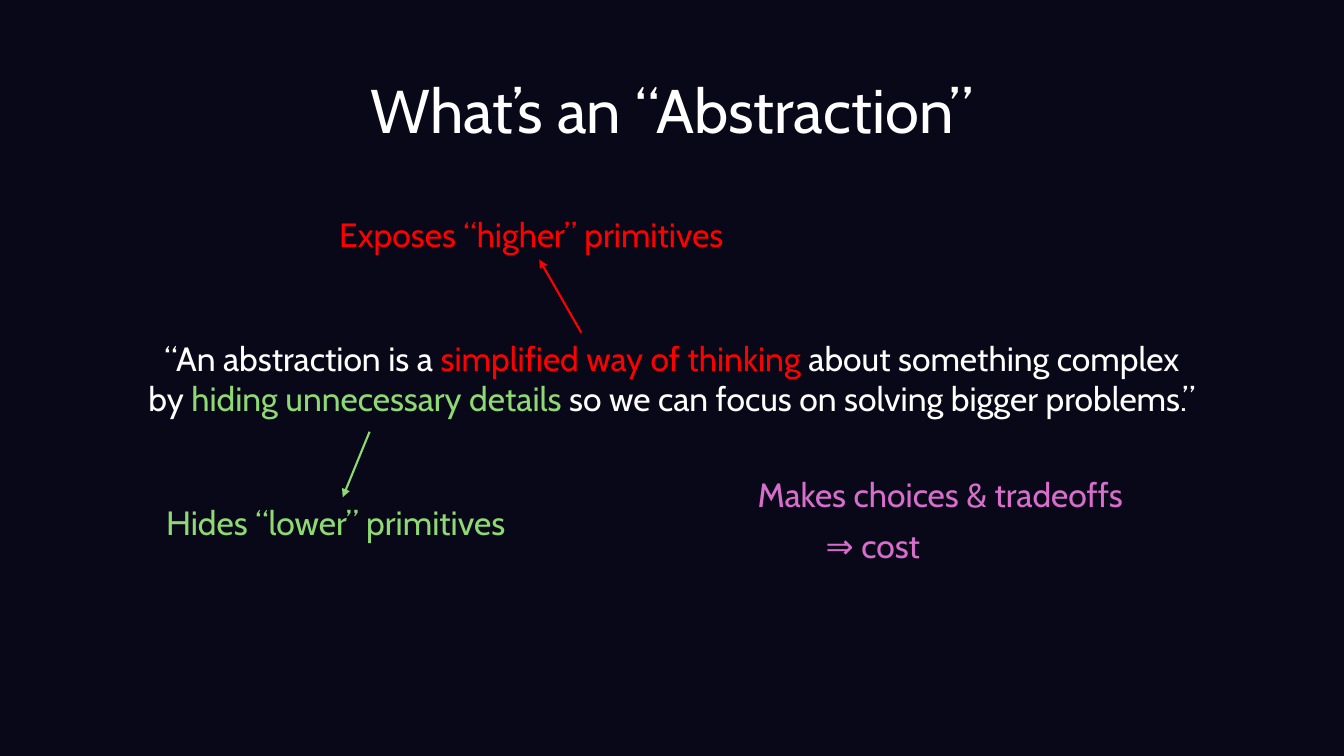
import dataclasses
import typing

import pptx
import pptx.dml.color
import pptx.enum.shapes
import pptx.enum.text
import pptx.oxml
import pptx.oxml.ns
import pptx.util

COLUMNS, ROWS = 160, 90
CELL = pptx.util.Inches(1) // 12
COLORS = {
    "night": "080818",
    "white": "FFFFFF",
    "red": "FF0000",
    "green": "8ED973",
    "pink": "D86ECC",
}
ALIGN = pptx.enum.text.PP_ALIGN
FIT = pptx.enum.text.MSO_AUTO_SIZE
ANCHOR = pptx.enum.text.MSO_ANCHOR
TITLE_FONT = {"name": "Cabin", "size": pptx.util.Pt(44)}
BODY_FONT = {"name": "Cabin", "size": pptx.util.Pt(24)}
TITLE_FRAME = {
    "word_wrap": True,
    "auto_size": FIT.NONE,
    "vertical_anchor": ANCHOR.MIDDLE,
}
BODY_FRAME = {"word_wrap": False, "auto_size": FIT.SHAPE_TO_FIT_TEXT}
TITLE_PARA = {"alignment": ALIGN.CENTER, "line_spacing": 0.9}
QUOTE_PARA = {"alignment": ALIGN.CENTER}
NOTE_PARA = {"alignment": ALIGN.LEFT}


class Piece(typing.NamedTuple):
    text: str
    color: str


class Area(typing.NamedTuple):
    column: float
    row: float
    width: float
    height: float


@dataclasses.dataclass(frozen=True)
class Arrow:
    column: float
    row: float
    site: int


@dataclasses.dataclass(frozen=True)
class Note:
    piece: Piece
    area: Area
    arrow: typing.Optional[Arrow] = None


TITLE = [[Piece("What’s an “Abstraction”", "white")]]
QUOTE = [
    [
        Piece("“An abstraction is a ", "white"),
        Piece("simplified way of thinking", "red"),
        Piece(" about something complex", "white"),
    ],
    [
        Piece("by ", "white"),
        Piece("hiding unnecessary details ", "green"),
        Piece("so we can focus on solving bigger problems.”", "white"),
    ],
]
NOTES = [
    Note(Piece("Makes choices & tradeoffs", "pink"), Area(89, 55.8, 48.1, 6)),
    Note(
        Piece("Exposes “higher” primitives", "red"),
        Area(39.2, 24.9, 50, 6),
        Arrow(69.2, 39.6, 2),
    ),
    Note(
        Piece("Hides “lower” primitives", "green"),
        Area(18.6, 59.2, 44.4, 6),
        Arrow(44, 51.4, 0),
    ),
    Note(Piece("⇒ cost", "pink"), Area(97.1, 61.9, 14.3, 6)),
]


def cells(count: float) -> int:
    return round(count * CELL)


def rgb(color: str) -> pptx.dml.color.RGBColor:
    return pptx.dml.color.RGBColor.from_string(COLORS[color])


def apply(target: typing.Any, values: dict) -> None:
    for name, value in values.items():
        setattr(target, name, value)


def write(
    box: typing.Any,
    lines: list,
    frame_values: dict,
    para_values: dict,
    font_values: dict,
) -> None:
    frame = box.text_frame
    apply(frame, frame_values)
    for index, line in enumerate(lines):
        para = frame.add_paragraph() if index else frame.paragraphs[0]
        apply(para, para_values)
        for piece in line:
            span = para.add_run()
            span.text = piece.text
            apply(span.font, font_values)
            span.font.color.rgb = rgb(piece.color)


def add_text(page: typing.Any, area: Area, lines: list, para_values: dict) -> typing.Any:
    box = page.shapes.add_textbox(*map(cells, area))
    write(box, lines, BODY_FRAME, para_values, BODY_FONT)
    return box


def add_arrow(page: typing.Any, arrow: Arrow, box: typing.Any, color: str) -> None:
    start = cells(arrow.column), cells(arrow.row)
    line = page.shapes.add_connector(
        pptx.enum.shapes.MSO_CONNECTOR.STRAIGHT, *start, *start
    )
    line.end_connect(box, arrow.site)
    line.line.color.rgb = rgb(color)
    line.line.width = pptx.util.Pt(1.5)
    head = pptx.oxml.parse_xml(
        f'<a:tailEnd {pptx.oxml.ns.nsdecls("a")} type="triangle"/>'
    )
    line.line._get_or_add_ln().append(head)
    effects = pptx.oxml.parse_xml(f'<a:effectLst {pptx.oxml.ns.nsdecls("a")}/>')
    line._element.spPr.append(effects)


def add_note(page: typing.Any, note: Note) -> None:
    box = add_text(page, note.area, [[note.piece]], NOTE_PARA)
    if note.arrow:
        add_arrow(page, note.arrow, box, note.piece.color)


def main() -> None:
    deck = pptx.Presentation()
    apply(deck, {"slide_width": cells(COLUMNS), "slide_height": cells(ROWS)})
    page = deck.slides.add_slide(deck.slide_layouts.get_by_name("Title Only"))
    page.background.fill.solid()
    page.background.fill.fore_color.rgb = rgb("night")

    title = page.shapes.title
    area = map(cells, Area(11, 4.8, 138, 17.4))
    apply(title, dict(zip(("left", "top", "width", "height"), area)))
    write(title, TITLE, TITLE_FRAME, TITLE_PARA, TITLE_FONT)

    add_text(page, Area(13.9, 39.6, 132.2, 10.9), QUOTE, QUOTE_PARA)
    for note in NOTES:
        add_note(page, note)
    deck.save("out.pptx")


if __name__ == "__main__":
    main()
